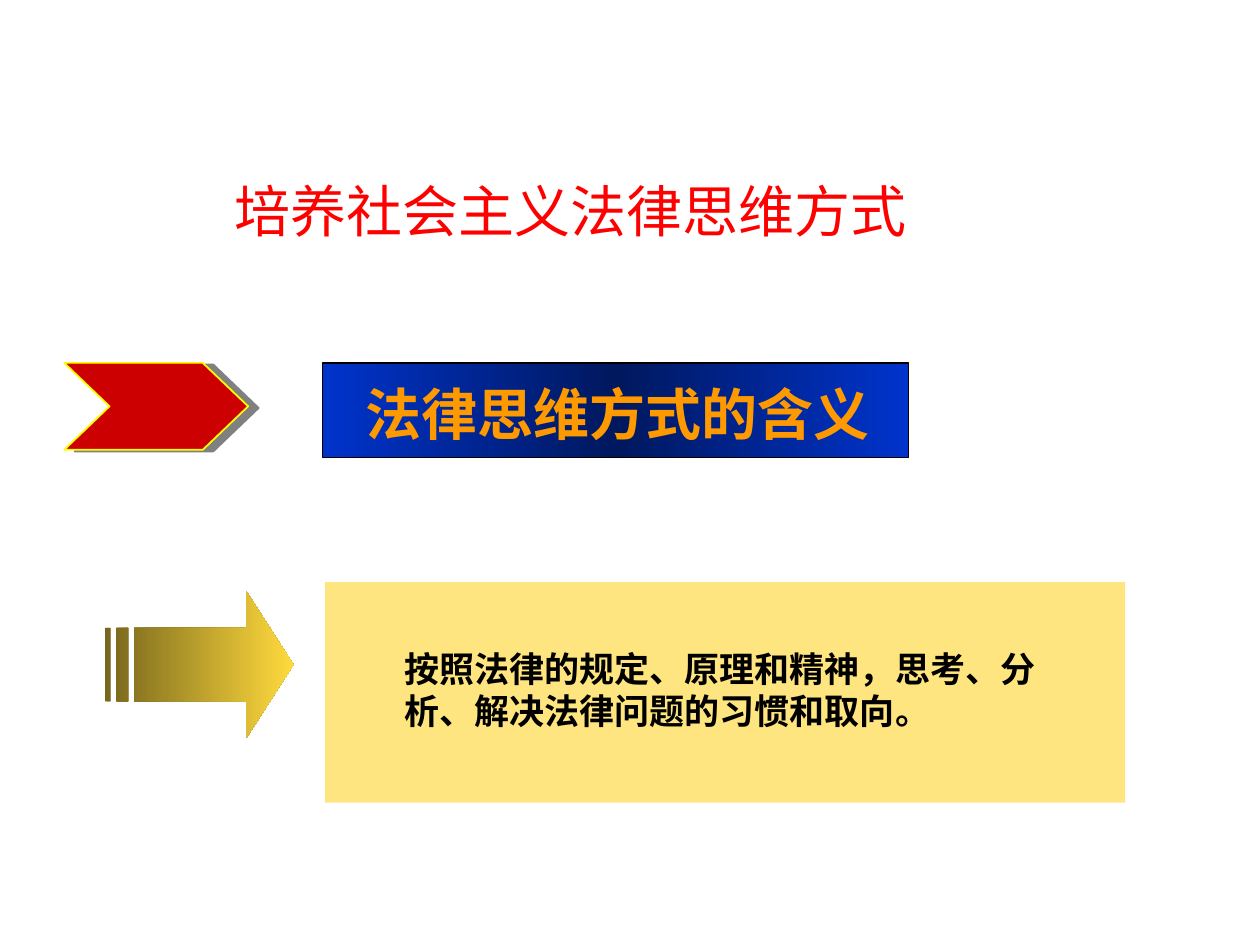
from lxml import etree
from pptx import Presentation
from pptx.dml.color import RGBColor
from pptx.enum import shapes, text
from pptx.oxml import ns
from pptx.util import Inches, Pt

CJK_FONT = "Noto Sans CJK SC"


def color(value):
    return RGBColor.from_string(value)


def add_node(parent, tag, **attributes):
    node = etree.SubElement(parent, ns.qn(tag))
    for name, value in attributes.items():
        node.set(name, str(value))
    return node


def write(frame, words, size, font, ink, bold=False, align=None):
    frame.word_wrap = True
    para = frame.paragraphs[0]
    para.alignment = align
    span = para.add_run()
    span.text = words
    span.font.size = Pt(size)
    span.font.name = font
    span.font.bold = bold
    span.font.color.rgb = color(ink)
    add_node(span.font._element, "a:ea", typeface=CJK_FONT)


def fill_gradient(shape, inks):
    """Spread the colours evenly from left to right."""
    shape.fill.gradient()
    shape.fill.gradient_angle = 0
    stops = shape._element.spPr.find(ns.qn("a:gradFill")).find(ns.qn("a:gsLst"))
    stops.clear()
    for index, ink in enumerate(inks):
        stop = add_node(stops, "a:gs", pos=100000 * index // (len(inks) - 1))
        add_node(stop, "a:srgbClr", val=ink)


def add_words(page, box, *style, **options):
    frame = page.shapes.add_textbox(*map(Inches, box)).text_frame
    write(frame, *style, **options)


def add_outline(page, contours):
    """Build one shape from closed contours given in inches."""
    contours = [[(Inches(x), Inches(y)) for x, y in points]
                for points in contours]
    builder = page.shapes.build_freeform(*contours[0][0])
    for index, points in enumerate(contours):
        if index:
            builder.move_to(*points[0])
        builder.add_line_segments(points[1:], close=True)
    shape = builder.convert_to_shape()
    shape.shadow.inherit = False
    return shape


def add_panel(page, box):
    panel = page.shapes.add_shape(
        shapes.MSO_SHAPE.RECTANGLE, *map(Inches, box))
    panel.shadow.inherit = False
    return panel


def place_title(page, box):
    title = page.shapes.title
    title.left, title.top, title.width, title.height = map(Inches, box)
    title.text_frame.vertical_anchor = text.MSO_ANCHOR.MIDDLE
    write(title.text_frame, "培养社会主义法律思维方式", 32, "Arial",
          "FF0000", align=text.PP_ALIGN.CENTER)


def place_heading(page, box):
    left, top, width, height = box
    banner = add_panel(page, box)
    fill_gradient(banner, ["0033CC", "00185E", "0033CC"])
    banner.line.color.rgb = color("000000")
    banner.line.width = Pt(0.75)
    add_words(page, (left + 0.24, top + 0.08, width + 0.08, 0.64),
              "法律思维方式的含义", 32, "Times New Roman", "FF9900",
              bold=True, align=text.PP_ALIGN.JUSTIFY)


def place_chevron(page, box):
    left, top, width, height = box
    right, bottom, middle = left + width, top + height, top + height / 2
    point = 0.36
    chevron = add_outline(page, [[
        (left, top), (right - point, top), (right, middle),
        (right - point, bottom), (left, bottom), (left + point, middle)]])
    chevron.fill.solid()
    chevron.fill.fore_color.rgb = color("CC0000")
    chevron.line.color.rgb = color("FFFF00")
    chevron.line.width = Pt(1)
    # Hard grey shadow to the right
    effects = chevron._element.spPr.find(ns.qn("a:effectLst"))
    shadow = add_node(effects, "a:outerShdw", blurRad=0, dist=Pt(6.1),
                      dir=9 * 60000, algn="ctr", rotWithShape=0)
    add_node(shadow, "a:srgbClr", val="808080")


def place_definition(page, box):
    left, top, width, height = box
    panel = add_panel(page, box)
    panel.fill.solid()
    panel.fill.fore_color.rgb = color("FFCC00")
    panel.line.fill.background()
    ink = panel._element.spPr.find(ns.qn("a:solidFill"))[0]
    add_node(ink, "a:alpha", val=50000)
    add_words(page, (left + 0.53, top + 0.47, width - 1, 0.77),
              "按照法律的规定、原理和精神，思考、分析、解决法律问题的习惯和取向。",
              20, CJK_FONT, "000000", bold=True)


def place_striped_arrow(page, box):
    left, top, width, height = box
    right, bottom, middle = left + width, top + height, top + height / 2
    upper, lower = top + height / 4, bottom - height / 4
    neck, unit = right - width / 4, width / 32
    head = [(neck, top), (neck, upper), (left + 5 * unit, upper),
            (left + 5 * unit, lower), (neck, lower), (neck, bottom),
            (right, middle)]
    stripes = [[(left + start * unit, upper), (left + start * unit, lower),
                (left + end * unit, lower), (left + end * unit, upper)]
               for start, end in ((2, 4), (0, 1))]
    arrow = add_outline(page, [head, *stripes])
    fill_gradient(arrow, ["76651C", "FFDA3D"])
    arrow.line.fill.background()


def main():
    deck = Presentation()
    deck.slide_width, deck.slide_height = Inches(10), Inches(7.5)
    page = deck.slides.add_slide(deck.slide_layouts[5])
    place_title(page, (0.67, 1.23, 7.72, 0.87))
    # Heading row
    place_heading(page, (2.56, 2.88, 4.65, 0.75))
    place_chevron(page, (0.51, 2.88, 1.46, 0.69))
    # Definition row
    place_definition(page, (2.58, 4.62, 6.35, 1.75))
    place_striped_arrow(page, (0.83, 4.69, 1.5, 1.17))
    deck.save("out.pptx")


if __name__ == "__main__":
    main()
